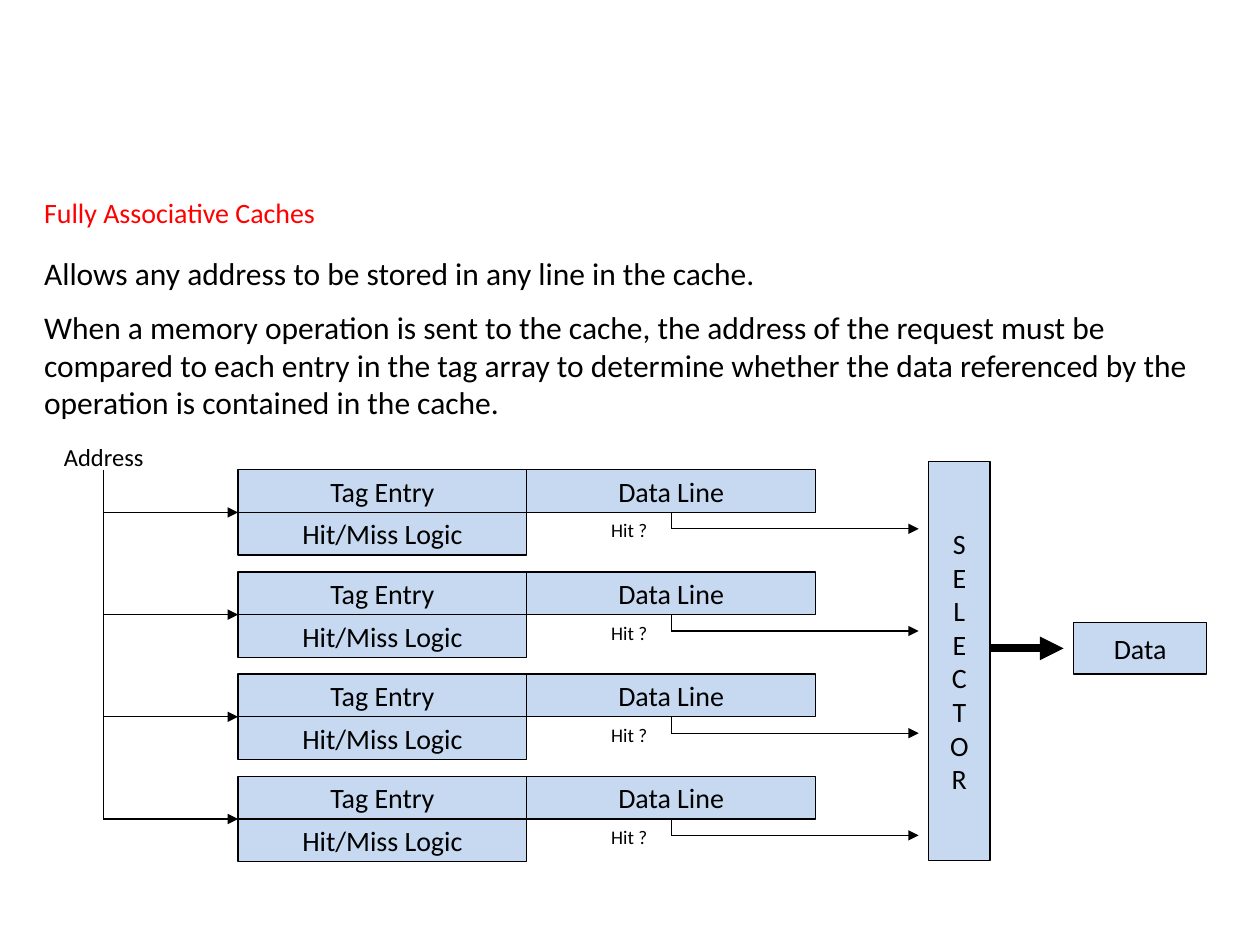
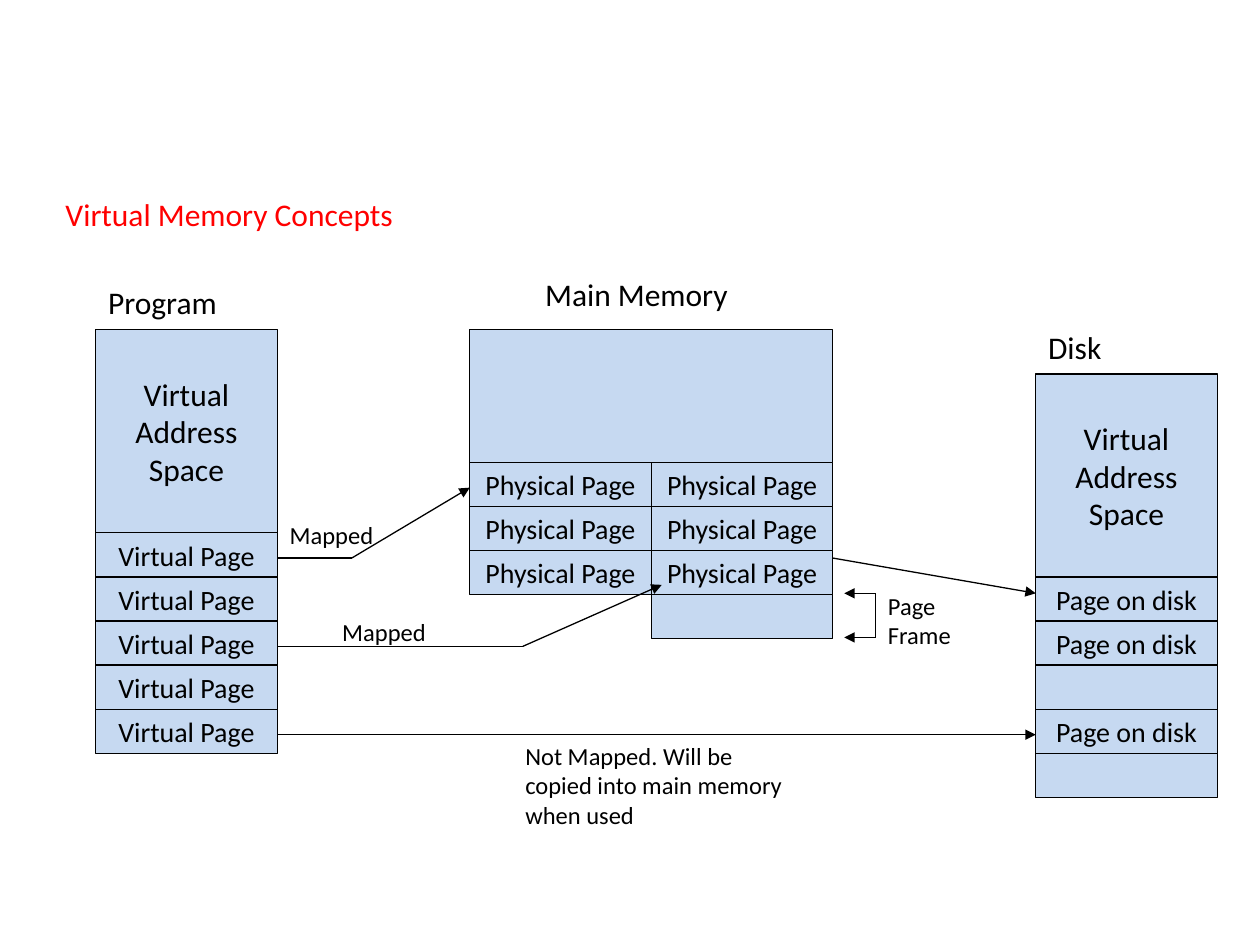
from itertools import pairwise
from lxml import etree
from pptx import Presentation
from pptx.dml.color import RGBColor
from pptx.enum.shapes import MSO_CONNECTOR, MSO_SHAPE
from pptx.enum.text import MSO_ANCHOR, PP_ALIGN
from pptx.oxml.ns import qn
from pptx.util import Cm, Pt

RECTANGLE = MSO_SHAPE.RECTANGLE
STRAIGHT = MSO_CONNECTOR.STRAIGHT
MIDDLE = MSO_ANCHOR.MIDDLE
LEFT, CENTER = PP_ALIGN.LEFT, PP_ALIGN.CENTER

COLORS = {"title": "FF0000", "ink": "000000", "cell": "C6D9F1"}
FONT = "Calibri"
TITLE_TOP = 3.81

CACHE_TITLE = "Fully Associative Caches"
CACHE_TEXT = [
    "Allows any address to be stored in any line in the cache.",
    "When a memory operation is sent to the cache, the address of the request "
    "must be compared to each entry in the tag array to determine whether the "
    "data referenced by the operation is contained in the cache.",
]
CACHE_ROWS = 4
ROW_TOP, ROW_PITCH = 9.47, 2.06
TAG_LEFT, TAG_WIDTH, TAG_HEIGHT = 4.8, 5.82, 0.86
BUS_X = 2.08
SELECTOR = (18.72, 9.3, 1.24, 8.05)
DATA = (21.64, 12.55, 2.69, 1.04)

MEMORY_TITLE = "Virtual Memory Concepts"
SPACE = ["Virtual", "Address", "Space"]
PAGE_WIDTH, PAGE_HEIGHT, SPACE_HEIGHT = 3.66, 0.89, 4.09
ADDRESS_SPACES = [
    (1.93, 6.65, ["Virtual Page"] * 5),
    (20.88, 7.54, ["Page on disk", "Page on disk", "", "Page on disk", ""]),
]
MEMORY_LEFT, MEMORY_TOP = 9.47, 6.65
FRAMES = [("Physical Page", "Physical Page")] * 3 + [(None, "")]
MEMORY_LABELS = [
    ("Program", 18, (1.93, 5.59, 3.89, 1.07)),
    ("Main Memory", 18, (10.74, 5.41, 6.05, 1.07)),
    ("Disk", 18, (20.88, 6.48, 3.89, 1.07)),
    ("Mapped", 14, (5.59, 10.36, 2.36, 0.71)),
    ("Mapped", 14, (6.65, 12.32, 2.36, 0.71)),
    ("Page Frame", 14, (17.65, 11.79, 2.16, 1.19)),
    ("Not Mapped. Will be copied into main memory when used", 14,
     (10.34, 14.81, 6.05, 1.7)),
]
MEMORY_ARROWS = [
    [(5.59, 11.25), (7.09, 11.25), (9.47, 9.83)],
    [(5.59, 13.03), (10.54, 13.03), (13.34, 11.79)],
    [(5.59, 14.81), (20.88, 14.81)],
    [(16.79, 11.25), (20.88, 11.96)],
    [(17.65, 11.96), (17.65, 12.85), (17.02, 12.85)],
    [(17.65, 11.96), (17.02, 11.96)],
]


def color(name):
    return RGBColor.from_string(COLORS[name])


def write(frame, lines, size, ink="ink", align=LEFT, gap=0):
    frame.text = "\n".join(lines)
    for index, para in enumerate(frame.paragraphs):
        para.alignment = align
        para.space_before = Pt(gap if index else 0)
        for span in para.runs:
            span.font.name = FONT
            span.font.size = Pt(size)
            span.font.color.rgb = color(ink)


def add_text(page, lines, size, place, ink="ink", gap=0):
    box = page.shapes.add_textbox(*map(Cm, place))
    box.text_frame.word_wrap = True
    write(box.text_frame, lines, size, ink, gap=gap)


def add_cell(page, lines, place, size=16):
    cell = page.shapes.add_shape(RECTANGLE, *map(Cm, place))
    cell.shadow.inherit = False
    cell.fill.solid()
    cell.fill.fore_color.rgb = color("cell")
    cell.line.color.rgb = color("ink")
    cell.line.width = Pt(0.75)
    cell.text_frame.word_wrap = False
    cell.text_frame.vertical_anchor = MIDDLE
    write(cell.text_frame, lines, size, align=CENTER)


def add_route(page, points, arrow=True, width=0.75):
    for start, end in pairwise(points):
        line = page.shapes.add_connector(STRAIGHT, *map(Cm, start + end))
        line.line.color.rgb = color("ink")
        line.line.width = Pt(width)
        properties = line.line._get_or_add_ln()
        if arrow and end == points[-1]:
            etree.SubElement(properties, qn("a:tailEnd"), type="triangle")
        etree.SubElement(properties.getparent(), qn("a:effectLst"))


def add_cache_row(page, top):
    data_left = TAG_LEFT + TAG_WIDTH
    middle = top + TAG_HEIGHT
    hit_x, hit_y = data_left + TAG_WIDTH / 2, middle + 0.33
    for label, left, cell_top in [
        ("Tag Entry", TAG_LEFT, top),
        ("Hit/Miss Logic", TAG_LEFT, middle),
        ("Data Line", data_left, top),
    ]:
        add_cell(page, [label], (left, cell_top, TAG_WIDTH, TAG_HEIGHT))
    add_route(page, [(hit_x, middle), (hit_x, hit_y), (18.52, hit_y)])
    add_route(page, [(BUS_X, middle), (TAG_LEFT, middle)])
    add_text(page, ["Hit ?"], 11, (12.07, middle, 1.45, 0.69))


def build_cache_page(page):
    add_text(page, [CACHE_TITLE], 16, (0.64, TITLE_TOP, 23.7, 0.89), "title")
    add_text(page, CACHE_TEXT, 18, (0.64, 5, 23.7, 3.56), gap=9)
    for row in range(CACHE_ROWS):
        add_cache_row(page, ROW_TOP + row * ROW_PITCH)
    bus_end = ROW_TOP + (CACHE_ROWS - 1) * ROW_PITCH + TAG_HEIGHT
    add_route(page, [(BUS_X, ROW_TOP), (BUS_X, bus_end)], arrow=False)
    add_text(page, ["Address"], 14, (1.04, 8.79, 2.49, 0.81))
    add_cell(page, list("SELECTOR"), SELECTOR)
    add_cell(page, ["Data"], DATA)
    output_y = DATA[1] + DATA[3] / 2
    selector_right = SELECTOR[0] + SELECTOR[2]
    add_route(page, [(selector_right, output_y), (21.44, output_y)], width=4.5)


def build_memory_page(page):
    add_text(page, [MEMORY_TITLE], 18, (1.07, TITLE_TOP, 12.29, 1.07), "title")
    for left, top, names in ADDRESS_SPACES:
        add_cell(page, SPACE, (left, top, PAGE_WIDTH, SPACE_HEIGHT), 18)
        for index, name in enumerate(names):
            page_top = top + SPACE_HEIGHT + index * PAGE_HEIGHT
            add_cell(page, [name], (left, page_top, PAGE_WIDTH, PAGE_HEIGHT))
    free_height = 3 * PAGE_HEIGHT
    add_cell(page, [], (MEMORY_LEFT, MEMORY_TOP, 2 * PAGE_WIDTH, free_height))
    for row, names in enumerate(FRAMES):
        frame_top = MEMORY_TOP + free_height + row * PAGE_HEIGHT
        for column, name in enumerate(names):
            if name is not None:
                left = MEMORY_LEFT + column * PAGE_WIDTH
                add_cell(page, [name], (left, frame_top, PAGE_WIDTH, PAGE_HEIGHT))
    for points in MEMORY_ARROWS:
        add_route(page, points)
    for label, size, place in MEMORY_LABELS:
        add_text(page, [label], size, place)


def main():
    deck = Presentation()
    deck.slide_width, deck.slide_height = Cm(25.4), Cm(19.05)
    for build in (build_cache_page, build_memory_page):
        build(deck.slides.add_slide(deck.slide_layouts[6]))
    deck.save("out.pptx")


if __name__ == "__main__":
    main()
